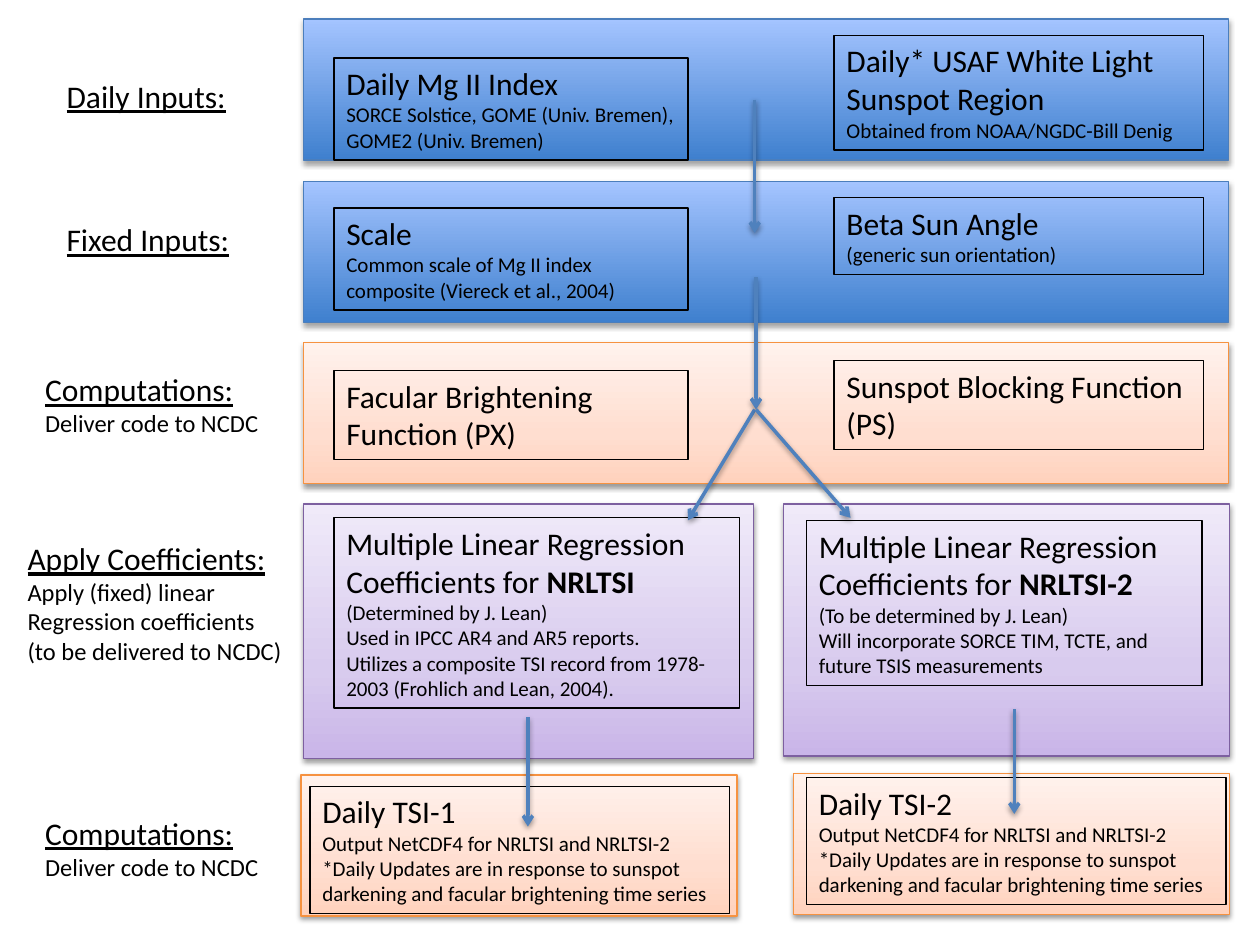
"""Build the solar irradiance processing flow slide."""
from lxml import etree
from pptx import Presentation, dml, util as u
from pptx.dml import color
from pptx.enum import shapes, text
from pptx.oxml import ns


def rgb(value):
    return color.RGBColor.from_string(value)


def add_shadow(shape, alpha=38, distance=20000):
    effects = etree.SubElement(shape._element.spPr, ns.qn("a:effectLst"))
    shadow = etree.SubElement(effects, ns.qn("a:outerShdw"), blurRad="40000",
                              dist=str(distance), dir="5400000", rotWithShape="0")
    black = etree.SubElement(shadow, ns.qn("a:srgbClr"), val="000000")
    etree.SubElement(black, ns.qn("a:alpha"), val=str(alpha * 1000))


deck = Presentation()
deck.slide_width, deck.slide_height = u.Inches(10), u.Inches(7.5)
page = deck.slides.add_slide(deck.slide_layouts[6])

blue = ([(0, "3F80CE"), (100, "A4C4FF")], "4B7EBC", 35, 23000)
orange = ([(0, "FFD2BD"), (35, "FFDED0"), (100, "FFF2ED")], "F69240", 38, 20000)
purple = ([(0, "C9B5E8"), (35, "D8CBEE"), (100, "F0EAF9")], "7D60A0", 38, 20000)

panels = [
    (2.41, 0.15, 7.34, 1.12, blue),
    (2.41, 1.44, 7.34, 1.12, blue),
    (2.41, 2.72, 7.34, 1.12, orange),
    (6.22, 4, 3.54, 2, purple),
    (2.41, 4, 3.57, 2.02, purple),
    (2.39, 6.15, 3.46, 1.12, orange),
    (6.3, 6.14, 3.46, 1.12, orange),
]
for *place, (stops, edge, alpha, distance) in panels:
    panel = page.shapes.add_shape(shapes.MSO_SHAPE.RECTANGLE, *map(u.Inches, place))
    panel.fill.gradient()
    panel.fill.gradient_angle = 90
    stop_list = panel._element.spPr.find(".//" + ns.qn("a:gsLst"))
    for old_stop in list(stop_list):
        stop_list.remove(old_stop)
    for position, shade in stops:
        stop = etree.SubElement(stop_list, ns.qn("a:gs"), pos=str(position * 1000))
        etree.SubElement(stop, ns.qn("a:srgbClr"), val=shade)
    panel.line.color.rgb = rgb(edge)
    panel.line.width = u.Pt(0.75)
    add_shadow(panel, alpha, distance)

regression = "Multiple Linear Regression Coefficients for "
outputs = ["Output NetCDF4 for NRLTSI and NRLTSI-2",
           "*Daily Updates are in response to sunspot darkening and facular "
           "brightening time series"]
deliver = ["Deliver code to NCDC"]

boxes = [
    (2.65, 0.46, 2.81, 0.81, "Daily Mg II Index", "",
     ["SORCE Solstice, GOME (Univ. Bremen), GOME2 (Univ. Bremen)"]),
    (6.62, 0.28, 2.93, 0.91, "Daily* USAF White Light Sunspot Region ", "",
     ["Obtained from NOAA/NGDC-Bill Denig"]),
    (2.65, 1.65, 2.81, 0.81, "Scale", "",
     ["Common scale of Mg II index composite (Viereck et al., 2004)"]),
    (6.62, 1.57, 2.93, 0.61, "Beta Sun Angle", "", ["(generic sun orientation)"]),
    (2.65, 2.94, 2.81, 0.71, "Facular Brightening Function (PX)", "", []),
    (6.62, 2.86, 2.93, 0.71, "Sunspot Blocking Function (PS)", "", []),
    (2.65, 4.11, 3.22, 1.51, regression, "NRLTSI",
     ["(Determined by J. Lean)", "Used in IPCC AR4 and AR5 reports.",
      "Utilizes a composite TSI record from 1978-2003 (Frohlich and Lean, 2004)."]),
    (6.4, 4.13, 3.14, 1.31, regression, "NRLTSI-2",
     ["(To be determined by J. Lean)",
      "Will incorporate SORCE TIM, TCTE, and future TSIS measurements"]),
    (2.46, 6.24, 3.33, 1.01, "Daily TSI-1", "", outputs),
    (6.4, 6.17, 3.33, 1.01, "Daily TSI-2", "", outputs),
]
labels = [
    (0.43, 0.56, 1.48, 0.4, "Daily Inputs:", "", []),
    (0.43, 1.7, 1.51, 0.4, "Fixed Inputs:", "", []),
    (0.26, 2.89, 1.91, 0.64, "Computations:", "", deliver),
    (0.12, 4.23, 2.31, 1.11, "Apply Coefficients:", "",
     ["Apply (fixed) linear ", "Regression coefficients", "(to be delivered to NCDC)"]),
    (0.26, 6.41, 1.91, 0.64, "Computations:", "", deliver),
]
for group, boxed, detail_size in ((boxes, True, 12), (labels, False, 14)):
    for *place, title, product, details in group:
        box = page.shapes.add_textbox(*map(u.Inches, place))
        if boxed:
            box.line.color.rgb = rgb("000000")
            box.line.width = u.Pt(0.75)
        frame = box.text_frame
        frame.word_wrap = boxed
        frame.auto_size = text.MSO_AUTO_SIZE.SHAPE_TO_FIT_TEXT
        heading = [(title, 18, False), (product, 18, True)]
        lines = [heading] + [[(detail, detail_size, False)] for detail in details]
        for index, line in enumerate(lines):
            para = frame.add_paragraph() if index else frame.paragraphs[0]
            for words, size, bold in line:
                if words:
                    span = para.add_run()
                    span.text = words
                    span.font.name = "Calibri"
                    span.font.size = u.Pt(size)
                    span.font.bold = bold
                    span.font.underline = not boxed and index == 0
                    span.font.color.rgb = rgb("000000")

arrows = [
    (5.99, 0.79, 5.99, 1.85),
    (6, 2.2, 6, 3.25),
    (5.99, 3.25, 5.46, 4.13),
    (6, 3.25, 6.75, 4.11),
    (4.19, 5.69, 4.19, 6.56),
    (8.05, 5.63, 8.05, 6.46),
]
for ends in arrows:
    arrow = page.shapes.add_connector(shapes.MSO_CONNECTOR.STRAIGHT, *map(u.Inches, ends))
    arrow.line.color.rgb = rgb("4F81BD")
    arrow.line.width = u.Pt(2)
    etree.SubElement(arrow.line._get_or_add_ln(), ns.qn("a:tailEnd"), type="arrow")
    add_shadow(arrow)

deck.save("out.pptx")
